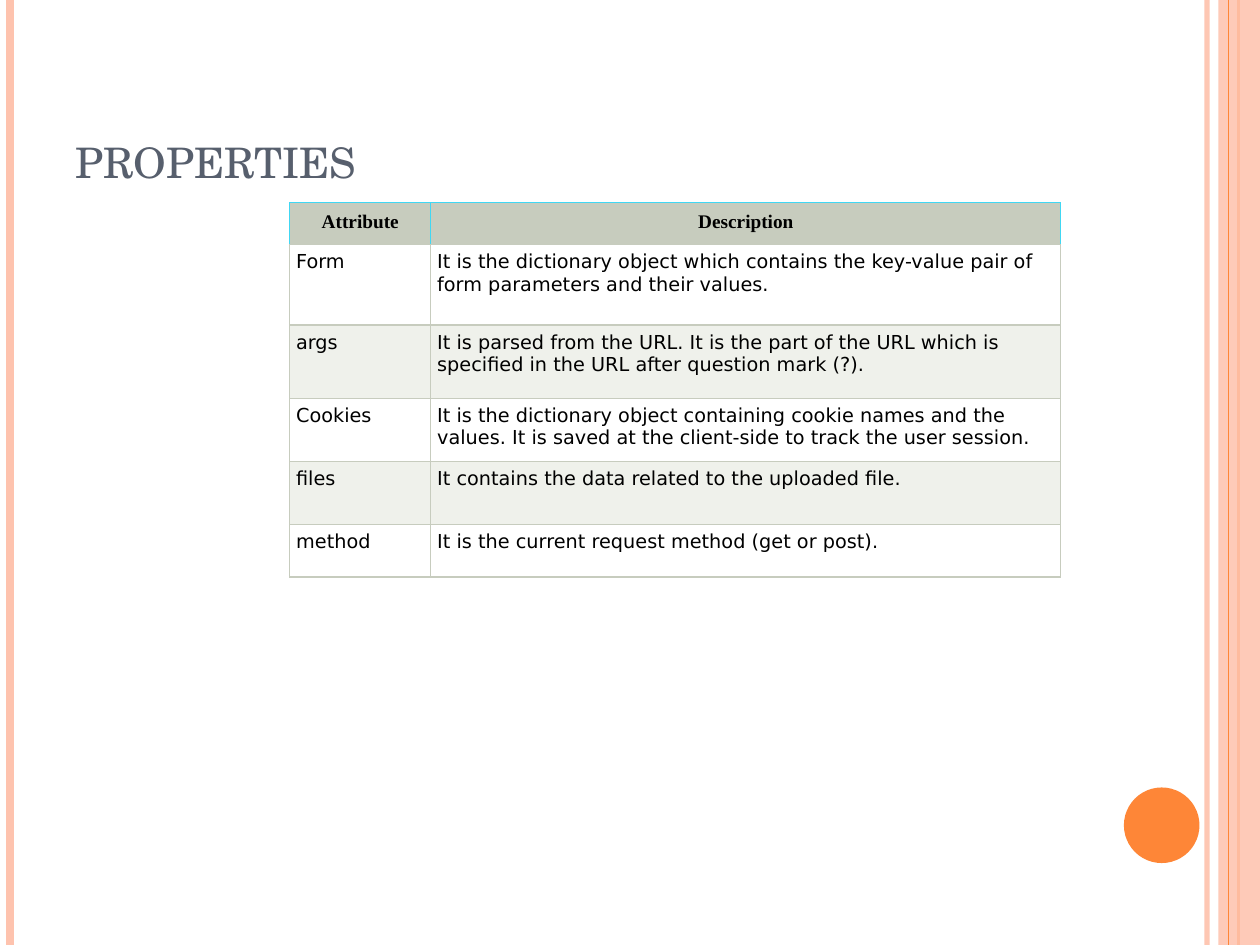
from dataclasses import dataclass

from lxml.etree import SubElement
from pptx import Presentation
from pptx.dml.color import RGBColor
from pptx.enum.shapes import MSO_CONNECTOR, MSO_SHAPE
from pptx.enum.text import MSO_ANCHOR, PP_ALIGN
from pptx.oxml.ns import qn
from pptx.util import Inches, Pt


@dataclass(frozen=True)
class Theme:
    """Colours, fonts and type sizes of the slide."""
    peach: str = "FEC3AE"
    orange: str = "FE8637"
    slate: str = "575F6D"
    sage: str = "C7CCBE"
    pale_sage: str = "EFF1EB"
    cyan: str = "40D7F3"
    white: str = "FFFFFF"
    black: str = "000000"
    title_font: str = "TeX Gyre Schola"
    header_font: str = "Times New Roman"
    body_font: str = "DejaVu Sans"
    title_size: int = 30
    table_size: int = 11


def write(frame, text, *, font, size, color, bold=False, align=PP_ALIGN.LEFT,
          anchor=MSO_ANCHOR.TOP, inset=(0.1, 0.05)):
    """Put formatted text into a text frame or table cell and return its run."""
    frame.margin_left = frame.margin_right = Inches(inset[0])
    frame.margin_top = frame.margin_bottom = Inches(inset[1])
    frame.vertical_anchor = anchor
    body = getattr(frame, "text_frame", frame)
    body.word_wrap = True
    paragraph = body.paragraphs[0]
    paragraph.alignment = align
    run = paragraph.add_run()
    run.text = text
    run.font.name, run.font.size, run.font.bold = font, Pt(size), bold
    run.font.color.rgb = RGBColor.from_string(color)
    return run


def set_alpha(part, percent):
    """Make the solid colour inside an XML element partly transparent."""
    color = next(part.iter(qn("a:srgbClr")))
    SubElement(color, qn("a:alpha"), val=str(percent * 1000))


theme = Theme()
deck = Presentation()
deck.slide_width, deck.slide_height = Inches(10), Inches(7.5)
slide = deck.slides.add_slide(deck.slide_layouts[6])
shapes = slide.shapes
slide.background.fill.solid()
slide.background.fill.fore_color.rgb = RGBColor.from_string(theme.white)

# Side stripes, with the wide band between the third and fourth
band_left = Inches(9.67)
stripes = [
    (9.58, theme.peach, 3, 93),
    (0.08, theme.peach, 4.5, 100),
    (9.83, theme.orange, 1.5, 100),
    (9.75, theme.orange, 0.75, 100),
]
for index, (x, color, width, opacity) in enumerate(stripes):
    if index == 3:
        band = shapes.add_shape(MSO_SHAPE.RECTANGLE, band_left, 0,
                                deck.slide_width - band_left, deck.slide_height)
        band.shadow.inherit = False
        band.fill.solid()
        band.fill.fore_color.rgb = RGBColor.from_string(theme.peach)
        band.line.fill.background()
        set_alpha(band.fill._xPr, 87)
    stripe = shapes.add_connector(MSO_CONNECTOR.STRAIGHT, Inches(x), 0,
                                  Inches(x), deck.slide_height)
    stripe.line.color.rgb = RGBColor.from_string(color)
    stripe.line.width = Pt(width)
    if opacity < 100:
        set_alpha(stripe.line._ln, opacity)
    SubElement(stripe._element.spPr, qn("a:effectLst"))

page_dot = shapes.add_shape(MSO_SHAPE.OVAL, Inches(8.92), Inches(6.25),
                            Inches(0.6), Inches(0.6))
page_dot.shadow.inherit = False
page_dot.fill.solid()
page_dot.fill.fore_color.rgb = RGBColor.from_string(theme.orange)
page_dot.line.fill.background()

title = shapes.add_textbox(Inches(0.5), Inches(0.3), Inches(8.17), Inches(1.25))
title_run = write(title.text_frame, "properties", font=theme.title_font,
                  size=theme.title_size, color=theme.slate,
                  anchor=MSO_ANCHOR.BOTTOM)
title_run.font._element.set("cap", "small")

# Table of request attributes
attributes = [
    ("Attribute", "Description"),
    ("Form", "It is the dictionary object which contains the key-value pair of "
             "form parameters and their values."),
    ("args", "It is parsed from the URL. It is the part of the URL which is "
             "specified in the URL after question mark (?)."),
    ("Cookies", "It is the dictionary object containing cookie names and the "
                "values. It is saved at the client-side to track the user session."),
    ("files", "It contains the data related to the uploaded file."),
    ("method", "It is the current request method (get or post)."),
]
column_widths = [1.12, 5]
row_heights = [0.33, 0.64, 0.58, 0.5, 0.5, 0.42]
table = shapes.add_table(len(row_heights), len(column_widths), Inches(2.3),
                         Inches(1.61), Inches(sum(column_widths)),
                         Inches(sum(row_heights))).table
for column, width in zip(table.columns, column_widths):
    column.width = Inches(width)

header_format = dict(font=theme.header_font, bold=True, align=PP_ALIGN.CENTER,
                     inset=(0.07, 0.07))
body_format = dict(font=theme.body_font, inset=(0.05, 0.05))
for r, (row, height, entries) in enumerate(zip(table.rows, row_heights, attributes)):
    row.height = Inches(height)
    is_header = r == 0
    row_fill = theme.sage if is_header else (theme.pale_sage, theme.white)[r % 2]
    for cell, text in zip(row.cells, entries):
        write(cell, text, size=theme.table_size, color=theme.black,
              **(header_format if is_header else body_format))
        properties = cell._tc.get_or_add_tcPr()
        for side in "LRTB":
            edge = theme.cyan if is_header and side != "B" else theme.sage
            border = SubElement(properties, qn(f"a:ln{side}"), w=str(Pt(0.75)))
            SubElement(SubElement(border, qn("a:solidFill")), qn("a:srgbClr"), val=edge)
        cell.fill.solid()
        cell.fill.fore_color.rgb = RGBColor.from_string(row_fill)

deck.save("out.pptx")
